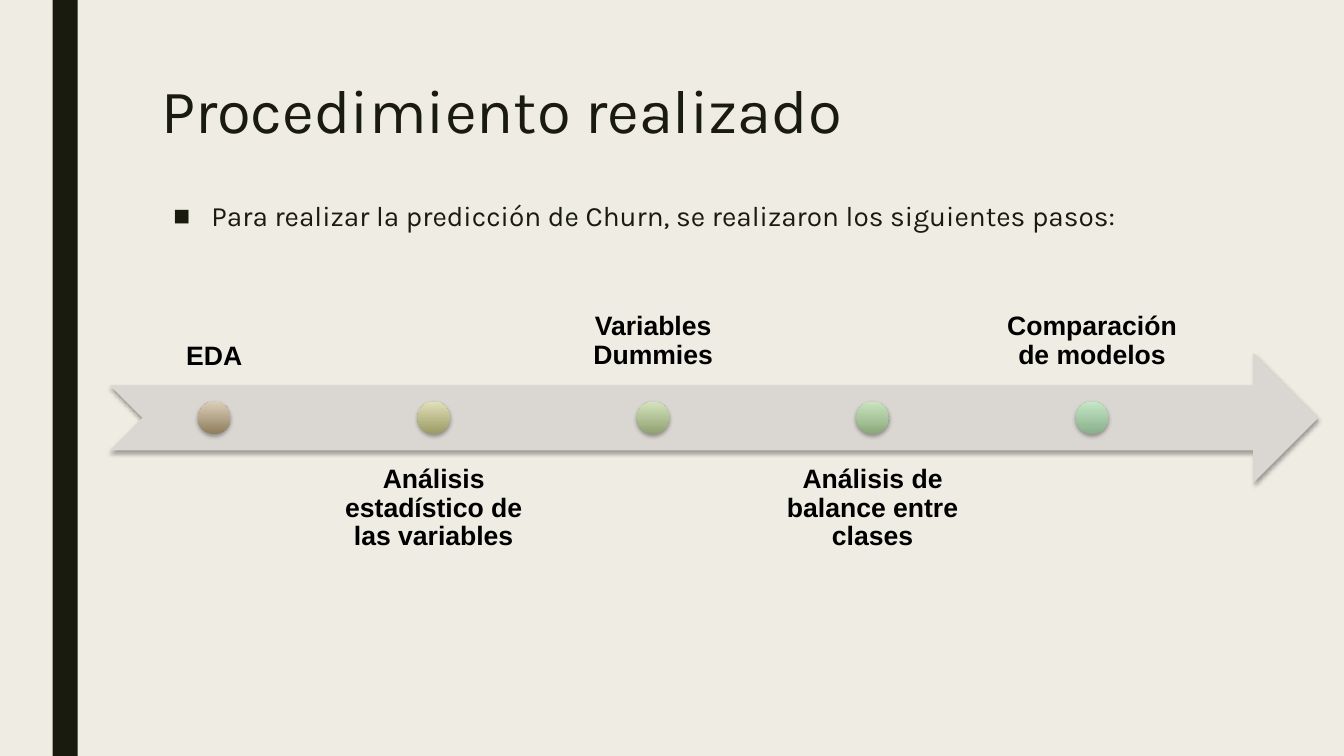
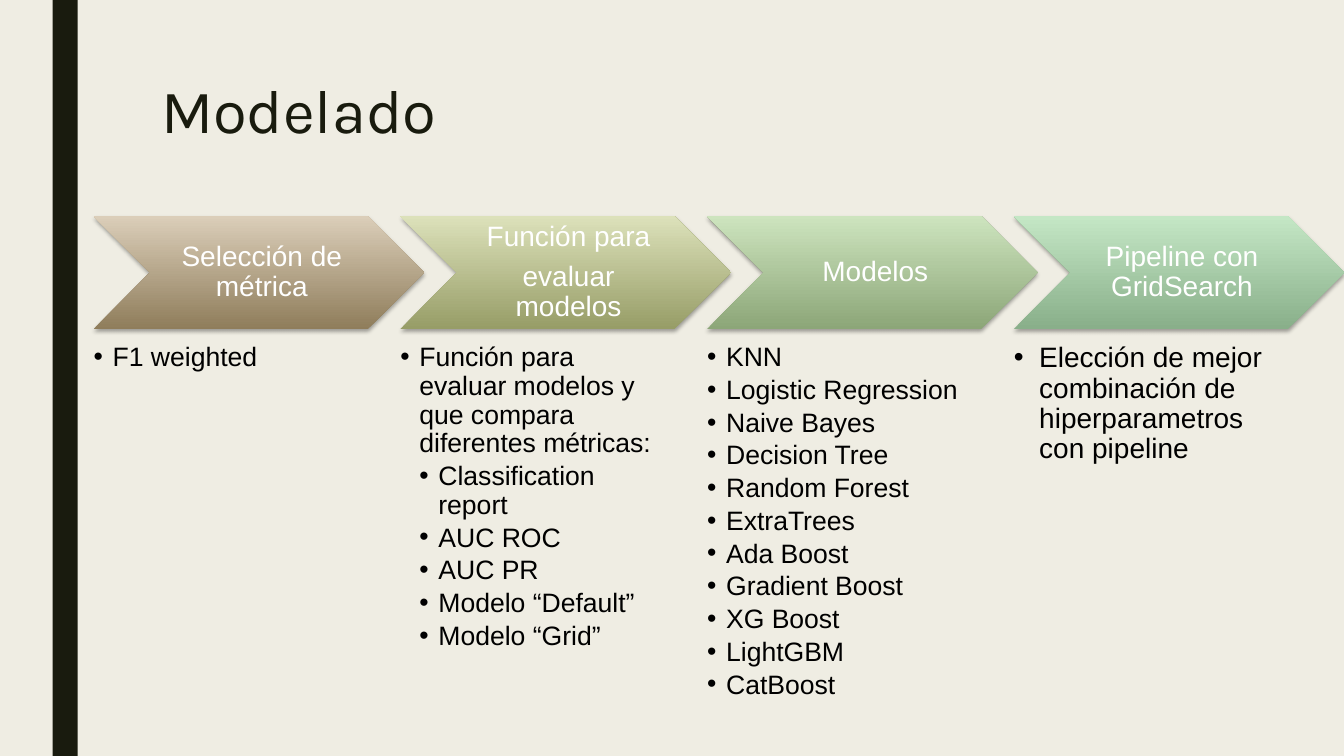
from dataclasses import dataclass

from lxml import etree
from pptx import Presentation
from pptx import util as u
from pptx.dml.color import RGBColor
from pptx.enum import shapes, text
from pptx.oxml import ns

Cm, Pt = u.Cm, u.Pt
KIND = shapes.MSO_SHAPE
ALIGN, ANCHOR = text.PP_ALIGN, text.MSO_ANCHOR


@dataclass(frozen=True)
class Theme:
    background: str = "EFEDE3"
    ink: str = "191B0E"
    black: str = "000000"
    white: str = "FFFFFF"
    arrow: str = "DAD7D2"
    heading_font: str = "Karla"
    diagram_font: str = "Arial"
    title_size: int = 44
    body_size: int = 20
    small_size: int = 19
    # (bottom, top) of each gradient
    dots: tuple = (("8F7D5B", "DBCEB9"), ("9A9A63", "E1E0B9"), ("90A170", "D4E3BC"),
                   ("8AA87C", "CAE5C0"), ("89AF8A", "C4E7C5"))
    chevrons: tuple = (("8F7D5B", "DBCEB9"), ("979D67", "DCE1BA"),
                       ("8CA678", "CDE4BE"), ("89AF8A", "C4E7C5"))


theme = Theme()


def add_figure(slide, kind, box, colours, shadow=True):
    """Add a borderless shape; two colours make a gradient from bottom to top."""
    shape = slide.shapes.add_shape(kind, *map(Cm, box))
    shape.line.fill.background()
    if len(colours) == 1:
        shape.fill.solid()
        shape.fill.fore_color.rgb = RGBColor.from_string(colours[0])
    else:
        shape.fill.gradient()
        shape.fill.gradient_angle = 90
        for stop, colour in zip(shape.fill.gradient_stops, colours):
            stop.color.rgb = RGBColor.from_string(colour)
    shape.shadow.inherit = False
    if shadow:
        effects = shape.element.spPr.find(ns.qn("a:effectLst"))
        outer = etree.SubElement(effects, ns.qn("a:outerShdw"), blurRad=str(Pt(3.1)),
                                 dist=str(Pt(1.8)), dir="5400000", rotWithShape="0")
        colour = etree.SubElement(outer, ns.qn("a:srgbClr"), val=theme.black)
        etree.SubElement(colour, ns.qn("a:alpha"), val="35000")
    return shape


def write_text(shape, lines, size, font, colour, bold=False, insets=(0.25, 0.13, 0.25, 0.13),
               anchor=ANCHOR.TOP, bullet=None, indent=0.0, **spacing):
    """Write (level, words) lines; spacing holds paragraph format values."""
    frame = shape.text_frame
    sides = ("margin_left", "margin_top", "margin_right", "margin_bottom")
    frame_format = dict(zip(sides, map(Cm, insets)), word_wrap=True, vertical_anchor=anchor)
    for name, value in frame_format.items():
        setattr(frame, name, value)
    for index, (level, words) in enumerate(lines):
        paragraph = frame.add_paragraph() if index else frame.paragraphs[0]
        for name, value in spacing.items():
            setattr(paragraph, name, value)
        run = paragraph.add_run()
        run.text = words
        for name, value in dict(size=Pt(size), name=font, bold=bold).items():
            setattr(run.font, name, value)
        run.font.color.rgb = RGBColor.from_string(colour)
        if bullet:
            properties = paragraph._p.get_or_add_pPr()
            left = indent * level + (0.31 if bullet == "■" else 0)
            properties.set("marL", str(Cm(left)))
            properties.set("indent", str(-Cm(indent)))
            bullet_colour = etree.SubElement(properties, ns.qn("a:buClr"))
            etree.SubElement(bullet_colour, ns.qn("a:srgbClr"), val=colour)
            etree.SubElement(properties, ns.qn("a:buFont"), typeface=theme.diagram_font)
            etree.SubElement(properties, ns.qn("a:buChar"), char=bullet)


presentation = Presentation()
presentation.slide_width, presentation.slide_height = Cm(33.87), Cm(19.05)
master_fill = presentation.slide_master.background.fill
master_fill.solid()
master_fill.fore_color.rgb = RGBColor.from_string(theme.background)

# Side band and title on every slide
slides = []
for title in ("Procedimiento realizado", "Modelado"):
    slide = presentation.slides.add_slide(presentation.slide_layouts[6])
    add_figure(slide, KIND.RECTANGLE, (1.33, 0, 0.63, 19.05), [theme.ink], shadow=False)
    title_box = slide.shapes.add_textbox(Cm(3.81), Cm(1.91), Cm(26.67), Cm(2.4))
    write_text(title_box, [(0, title)], theme.title_size, theme.heading_font, theme.ink,
               line_spacing=0.89)
    slides.append(slide)
process_slide, model_slide = slides

# Slide 1: timeline
intro = process_slide.shapes.add_textbox(Cm(3.81), Cm(4.93), Cm(29.41), Cm(1.5))
write_text(intro, [(1, "Para realizar la predicción de Churn, se realizaron los siguientes pasos:")],
           theme.body_size, theme.heading_font, theme.ink, bullet="■", indent=0.96,
           line_spacing=0.94, space_before=Pt(10))

arrow_left, arrow_top, arrow_height = 2.77, 8.89, 3.28
add_figure(process_slide, KIND.NOTCHED_RIGHT_ARROW,
           (arrow_left, arrow_top, 30.45, arrow_height), [theme.arrow])
steps = ("EDA", "Análisis estadístico de las variables", "Variables Dummies",
         "Análisis de balance entre clases", "Comparación de modelos")
step_pitch, label_width, dot_size = 5.53, 5.26, 0.82
for index, (step, colours) in enumerate(zip(steps, theme.dots)):
    left = arrow_left + index * step_pitch
    above = index % 2 == 0
    label = process_slide.shapes.add_textbox(
        Cm(left), Cm(6.43 if above else 11.35), Cm(label_width), Cm(arrow_height))
    write_text(label, [(0, step)], theme.small_size, theme.diagram_font, theme.black, bold=True,
               insets=[0.38] * 4, anchor=ANCHOR.BOTTOM if above else ANCHOR.TOP,
               alignment=ALIGN.CENTER, line_spacing=0.9)
    add_figure(process_slide, KIND.OVAL,
               (left + (label_width - dot_size) / 2, arrow_top + (arrow_height - dot_size) / 2,
                dot_size, dot_size), colours)

# Slide 2: chevrons with details below
models = ("KNN", "Logistic Regression", "Naive Bayes", "Decision Tree", "Random Forest",
          "ExtraTrees", "Ada Boost", "Gradient Boost", "XG Boost", "LightGBM", "CatBoost")
metrics = ("Classification report", "AUC ROC", "AUC PR", "Modelo “Default”", "Modelo “Grid”")
phases = (
    (["Selección de métrica"], [(1, "F1 weighted")], theme.small_size, 0.48),
    (["Función para", "evaluar modelos"],
     [(1, "Función para evaluar modelos y que compara diferentes métricas:"),
      *((2, metric) for metric in metrics)], theme.small_size, 0.48),
    (["Modelos"], [(1, model) for model in models], theme.small_size, 0.48),
    (["Pipeline con GridSearch"],
     [(1, "Elección de mejor combinación de hiperparametros con pipeline")], theme.body_size, 0.64),
)
for index, (heading, details, size, indent) in enumerate(phases):
    left = 2.36 + index * 7.73
    chevron = add_figure(model_slide, KIND.CHEVRON, (left, 5.45, 8.33, 2.84),
                         theme.chevrons[index])
    write_text(chevron, [(0, words) for words in heading], theme.body_size, theme.diagram_font,
               theme.white, insets=(0.23, 0.08, 0.08, 0.08), anchor=ANCHOR.MIDDLE,
               alignment=ALIGN.CENTER, line_spacing=0.9, space_after=Pt(7))
    detail_box = model_slide.shapes.add_textbox(Cm(left), Cm(8.66), Cm(6.65), Cm(8.79))
    write_text(detail_box, details, size, theme.diagram_font, theme.black, insets=[0] * 4,
               bullet="•", indent=indent, line_spacing=0.9, space_after=Pt(0.15 * size))

presentation.save("out.pptx")
